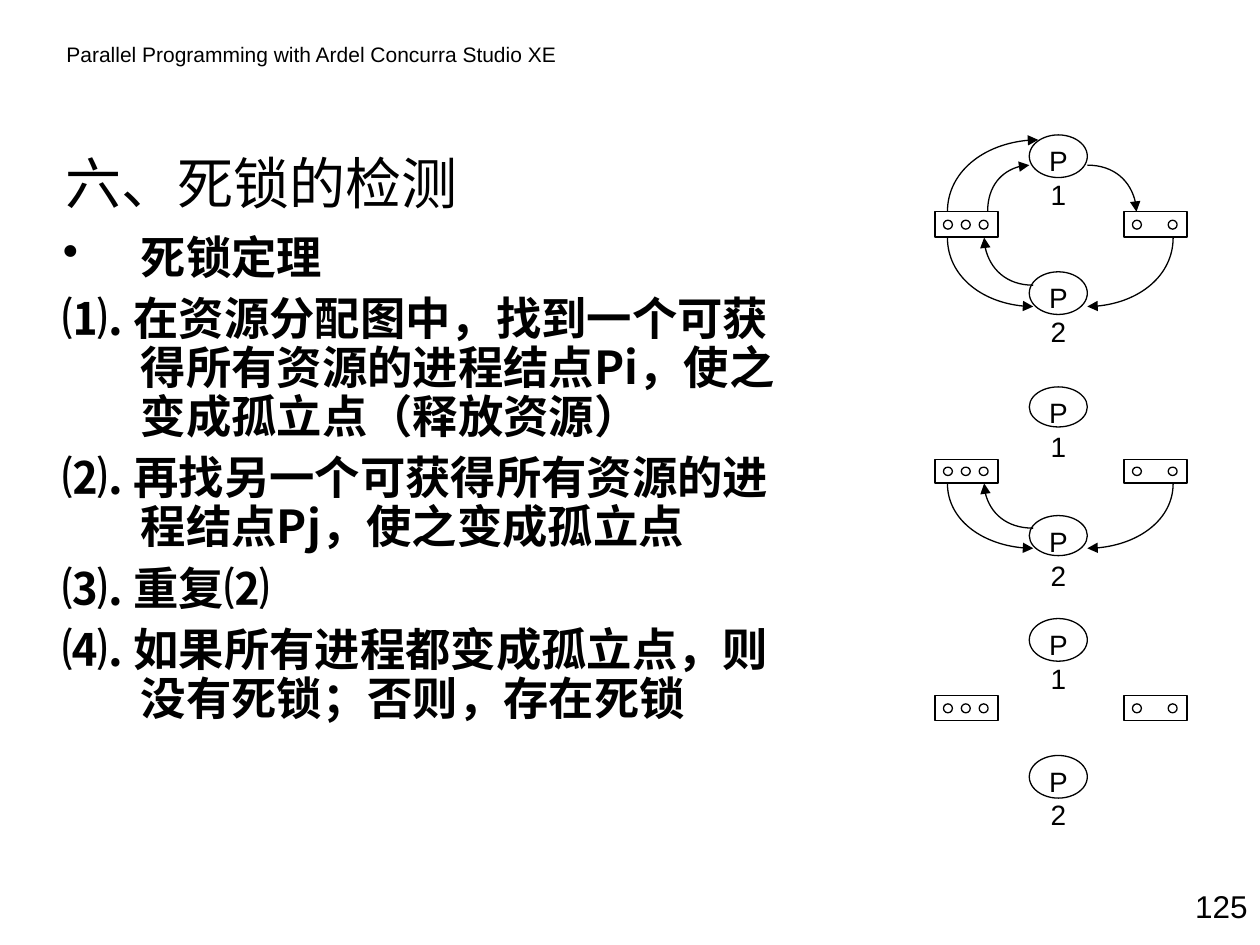
from lxml import etree
from pptx import Presentation
from pptx import util as u
from pptx.dml import color
from pptx.enum import shapes, text
from pptx.oxml import ns

COLORS = {"ink": "000000"}
CJK = "Noto Sans CJK SC"
KAPPA = 0.55


class Sheet:
    ink = color.RGBColor.from_string(COLORS["ink"])
    line_width = u.Pt(0.75)

    def __init__(self, slide):
        self.slide = slide
        self.target = slide.shapes

    def group(self):
        self.target = self.slide.shapes.add_group_shape().shapes

    def apply(self, item, values):
        for name, value in values.items():
            setattr(item, name, value)

    def label(self, box, lines, font, frame=None, paragraph=None):
        holder = self.target.add_textbox(*map(u.Cm, box)).text_frame
        self.apply(holder, {"word_wrap": True, **(frame or {})})
        for index, line in enumerate(lines):
            entry = holder.paragraphs[0] if index == 0 else holder.add_paragraph()
            self.apply(entry, paragraph or {})
            if index == 0:
                entry.space_before = u.Pt(0)
            run = entry.add_run()
            run.text = line
            self.apply(run.font, font)
            run.font.color.rgb = self.ink
            east = etree.SubElement(run.font._element, ns.qn("a:ea"))
            east.set("typeface", font["name"])
        return holder

    def hang(self, entry, indent, bullet=None):
        properties = entry._p.get_or_add_pPr()
        properties.set("marL", str(indent))
        properties.set("indent", str(-indent))
        mark = etree.SubElement(properties, ns.qn("a:buChar" if bullet else "a:buNone"))
        if bullet:
            mark.set("char", bullet)

    def outline(self, item):
        item.shadow.inherit = False
        item.fill.background()
        item.line.color.rgb = self.ink
        item.line.width = self.line_width

    def shape(self, kind, *box):
        self.outline(self.target.add_shape(kind, *map(u.Cm, box)))

    def arc(self, start, end, arrow):
        (x0, y0), (x1, y1) = [tuple(map(u.Cm, point)) for point in (start, end)]
        builder = self.target.build_freeform(x0, y0)
        builder.add_line_segments([(x1, y1)], close=False)
        curve = builder.convert_to_shape()
        self.outline(curve)
        properties = curve._element.spPr
        segment = properties.find(".//" + ns.qn("a:lnTo"))
        bezier = etree.Element(ns.qn("a:cubicBezTo"))
        controls = [(x0 + KAPPA * (x1 - x0), y0), (x1, y1 - KAPPA * (y1 - y0)), (x1, y1)]
        for x, y in controls:
            point = etree.SubElement(bezier, ns.qn("a:pt"))
            point.set("x", str(round(x - min(x0, x1))))
            point.set("y", str(round(y - min(y0, y1))))
        segment.getparent().replace(segment, bezier)
        tip = etree.SubElement(properties.find(ns.qn("a:ln")), ns.qn("a:" + arrow))
        tip.set("type", "triangle")

    def process(self, name, top, height):
        left, width = 20.75, 1.17
        self.shape(shapes.MSO_SHAPE.OVAL, left, top, width, height)
        self.label((left, top + 0.18, width, 1.47), [name],
                   {"name": "Arial", "size": u.Pt(16)},
                   {"margin_top": 0}, {"alignment": text.PP_ALIGN.CENTER})

    def resource(self, left, top, scale, slots):
        self.shape(shapes.MSO_SHAPE.RECTANGLE, left, top, 1.27, 0.51 * scale)
        for slot in slots:
            self.shape(shapes.MSO_SHAPE.OVAL, left + 0.17 + 0.36 * slot,
                       top + 0.17 * scale, 0.18, 0.18 * scale)

    def allocation_graph(self, top, scale, arcs):
        self.group()
        for name, offset in (("P1", 0), ("P2", 2.76)):
            self.process(name, top + offset * scale, 0.86 * scale)
        for left, slots in ((18.85, (0, 1, 2)), (22.66, (0, 2))):
            self.resource(left, top + 1.55 * scale, scale, slots)
        for (x0, y0), (x1, y1), arrow in arcs:
            self.arc((x0, top + y0 * scale), (x1, top + y1 * scale), arrow)


P2_ARCS = [
    ((20.83, 3.46), (19.1, 2.07), "headEnd"),
    ((20.83, 3.03), (19.84, 2.07), "tailEnd"),
    ((21.92, 3.46), (23.65, 2.07), "headEnd"),
]
P1_ARCS = [
    ((21.92, 0.61), (22.91, 1.55), "tailEnd"),
    ((20.93, 0.1), (19.1, 1.55), "headEnd"),
    ((20.75, 0.61), (19.91, 1.55), "headEnd"),
]
THEOREM = [
    "死锁定理",
    "⑴. 在资源分配图中，找到一个可获得所有资源的进程结点Pi，使之变成孤立点（释放资源）",
    "⑵. 再找另一个可获得所有资源的进程结点Pj，使之变成孤立点",
    "⑶. 重复⑵",
    "⑷. 如果所有进程都变成孤立点，则没有死锁；否则，存在死锁",
]


def main():
    deck = Presentation()
    deck.slide_width, deck.slide_height = u.Cm(25.4), u.Cm(19.05)
    sheet = Sheet(deck.slides.add_slide(deck.slide_layouts[6]))

    sheet.label((1.09, 0.71, 10.41, 0.76),
                ["Parallel Programming with Ardel Concurra Studio XE"],
                {"name": "Arial", "size": u.Pt(12)})
    sheet.label((1.07, 2.72, 22.86, 1.91), ["六、死锁的检测"],
                {"name": CJK, "size": u.Pt(32)},
                {"vertical_anchor": text.MSO_ANCHOR.MIDDLE})
    theorem = sheet.label((1.27, 4.62, 15.04, 12.07), THEOREM,
                          {"name": CJK, "size": u.Pt(25.9), "bold": True},
                          {"margin_left": 0, "margin_right": 0},
                          {"line_spacing": 0.9, "space_before": u.Pt(7)})
    for index, entry in enumerate(theorem.paragraphs):
        sheet.hang(entry, u.Cm(1.57), None if index else "•")
    sheet.label((23.29, 17.75, 2.11, 1.02), ["125"],
                {"name": "Arial", "size": u.Pt(18)},
                paragraph={"alignment": text.PP_ALIGN.RIGHT})

    for top, scale, arcs in ((2.72, 1, P2_ARCS + P1_ARCS),
                             (7.8, 0.94, P2_ARCS), (12.47, 1, [])):
        sheet.allocation_graph(top, scale, arcs)
    deck.save("out.pptx")


if __name__ == "__main__":
    main()
